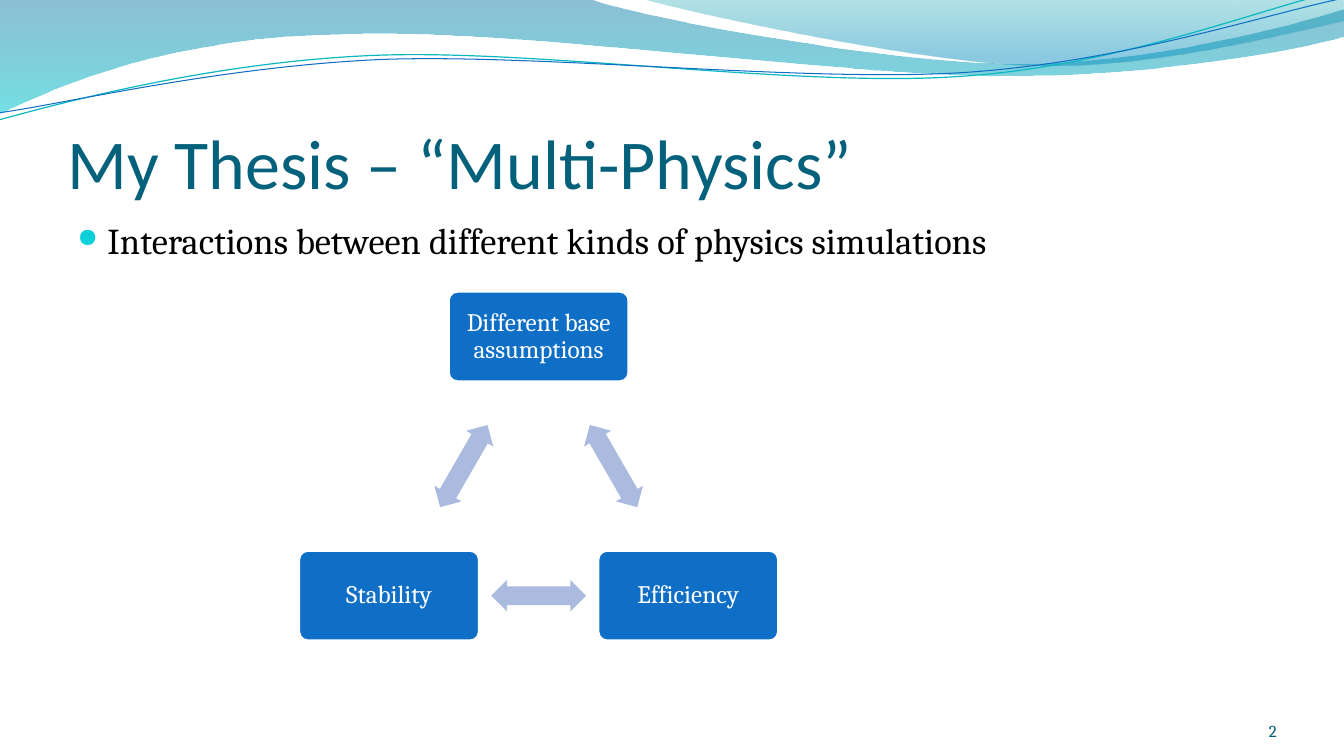
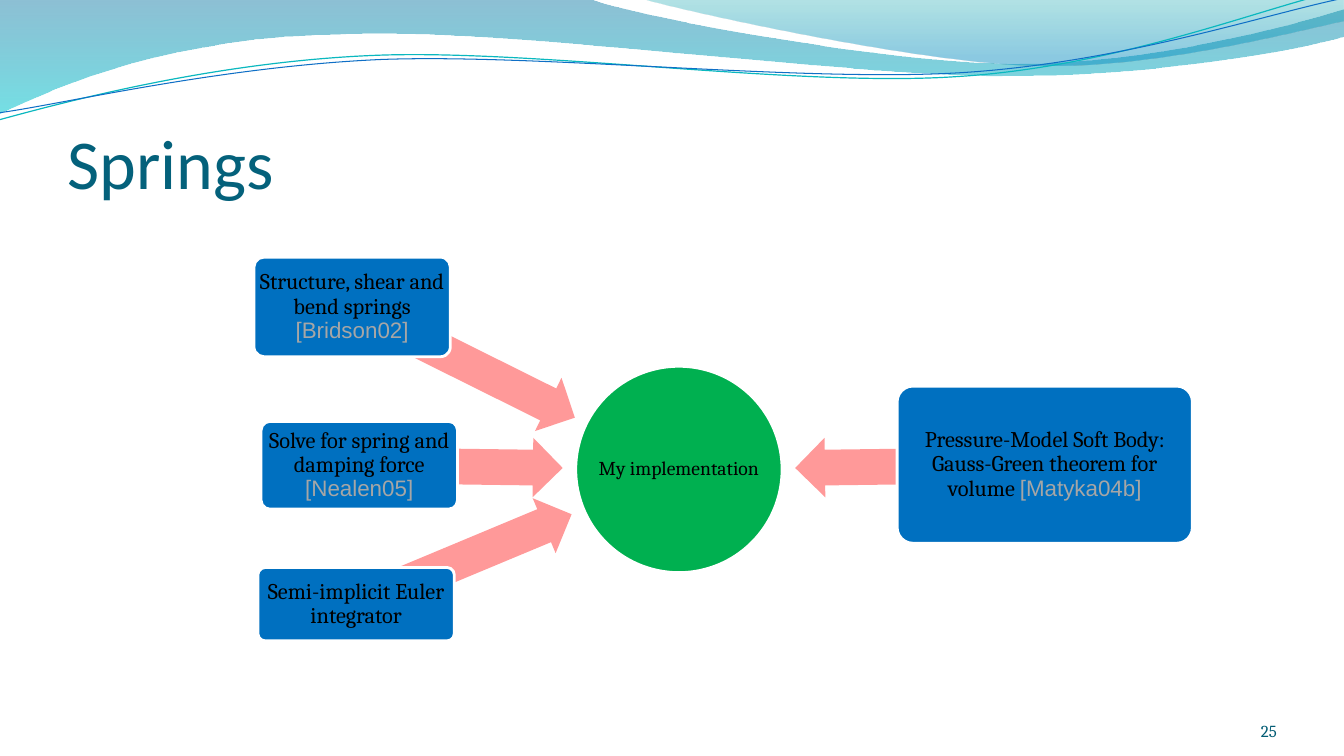
from dataclasses import dataclass
from math import atan2, cos, degrees, hypot, radians, sin

from lxml import etree
from pptx import Presentation, util as u
from pptx.dml.color import RGBColor
from pptx.enum import shapes as kinds, text as texts
from pptx.oxml.ns import qn

Cm, Pt, rgb = u.Cm, u.Pt, RGBColor.from_string
Kind, Align, Anchor = kinds.MSO_SHAPE, texts.PP_ALIGN, texts.MSO_ANCHOR


@dataclass(frozen=True)
class Theme:
    white: str = "FFFFFF"
    black: str = "000000"
    title_ink: str = "04617B"
    page_ink: str = "045D75"
    bullet: str = "0BD0D9"
    node: str = "0F6FC6"
    link: str = "ABBBDF"
    card: str = "0070C0"
    cite: str = "A6A6A6"
    hub: str = "00B050"
    arrow: str = "FF0000"
    teal_line: str = "0AB8BF"
    head_font: str = "Calibri"
    body_font: str = "Cambria"
    cite_font: str = "Arial"
    title_size: int = 50
    bullet_size: int = 26
    node_size: int = 18
    card_size: int = 16
    hub_size: int = 14
    page_size: int = 12


THEME = Theme()
SLIDE_WIDTH, SLIDE_HEIGHT = 33.87, 19.05
TITLE_BOX = (1.7, 1.96, 30.48, 3.18)
BULLET_BOX = (1.7, 5.36, 30.48, 12.19)
PAGE_BOX = (29.36, 17.65, 2.82, 1.02)
TRIANGLE_BOX = (7.54, 7.34, 12.07, 8.81)
SPRINGS_BOX = (6.4, 6.48, 23.65, 9.68)

# Each wave: start point, then one-point lines and three-point curves, in cm.
BAND_OUTLINE = [
    (0, 0), [(14.91, -0.02)],
    [(16.1, 0.43), (22.48, 1.6), (25.68, 1.6)],
    [(28.91, 1.6), (32.46, 0.66), (33.87, 0.23)], [(33.91, 0.91)],
    [(33.3, 1.12), (29.46, 1.93), (25.25, 1.91)],
    [(21.06, 1.91), (12.93, 0.71), (8.71, 0.86)],
    [(4.37, 0.91), (1.55, 2.11), (-0.02, 2.87)], [(0, 0)],
]
CORNER_OUTLINE = [
    (16.23, -0.02),
    [(17.25, 0.28), (23.09, 1.57), (26.04, 1.65)],
    [(28.98, 1.75), (32.56, 0.81), (33.87, 0.53)], [(33.87, 0)], [(16.23, -0.02)],
]
TEAL_CURVE = [
    (-0.02, 3.02),
    [(1.63, 2.57), (5.36, 1.57), (9.37, 1.4)],
    [(13.39, 1.22), (20.07, 2.21), (24.13, 1.93)],
    [(28.19, 1.68), (31.8, 0.2), (33.81, -0.25)],
]
BLUE_CURVE = [
    (0, 2.84),
    [(1.6, 2.62), (5.54, 1.68), (9.6, 1.5)],
    [(13.64, 1.35), (20.22, 2.08), (24.26, 1.83)],
    [(28.32, 1.57), (31.88, 0.36), (33.88, -0.05)],
]
# Outline and its gradient stops: position, colour, opacity in percent.
WAVE_FILLS = [
    (BAND_OUTLINE, [(0, "0074A1", 45), (1, "00C6CF", 55)]),
    (CORNER_OUTLINE, [(0, "00A1A9", 30), (0.8, "008BBF", 45)]),
]
WAVE_LINES = [(TEAL_CURVE, THEME.teal_line, 0.85), (BLUE_CURVE, THEME.node, 0.75)]


def set_all(target, values):
    for name, value in values.items():
        setattr(target, name, value)


def place(shape, box):
    set_all(shape, dict(zip(("left", "top", "width", "height"), map(Cm, box))))


def write(shape, spans, align=Align.LEFT, anchor=Anchor.MIDDLE, margins=(0, 0, 0, 0),
          spacing=1.0, wrap=True):
    """Fill the first paragraph with spans of (words, font, size, colour)."""
    frame = shape.text_frame
    set_all(frame, {"word_wrap": wrap, "auto_size": texts.MSO_AUTO_SIZE.NONE,
                    "vertical_anchor": anchor})
    sides = ("margin_left", "margin_top", "margin_right", "margin_bottom")
    set_all(frame, dict(zip(sides, map(Cm, margins))))
    para = frame.paragraphs[0]
    set_all(para, {"alignment": align, "line_spacing": spacing, "space_before": Pt(0)})
    for words, font, size, colour in spans:
        span = para.add_run()
        span.text = words
        set_all(span.font, {"name": font, "size": Pt(size)})
        span.font.color.rgb = rgb(colour)
    return para


def set_opacity(shape, percents):
    """Give each colour of the shape, in order, its opacity."""
    colours = list(shape._element.spPr.iter(qn("a:srgbClr")))
    for colour, percent in zip(colours, percents):
        etree.SubElement(colour, qn("a:alpha"), val=str(percent * 1000))


def add_solid(page, kind, box, colour, adjustments=(), outline=None):
    shape = page.shapes.add_shape(kind, *map(Cm, box))
    shape.shadow.inherit = False
    shape.fill.solid()
    shape.fill.fore_color.rgb = rgb(colour)
    for index, value in enumerate(adjustments):
        shape.adjustments[index] = value
    if outline:
        shape.line.color.rgb = rgb(outline)
        shape.line.width = Pt(2)
    else:
        shape.line.fill.background()
    return shape


def add_arrow(page, kind, centre, length, thickness, angle, colour):
    x, y = centre
    box = (x - length / 2, y - thickness / 2, length, thickness)
    arrow = add_solid(page, kind, box, colour, (0.6, 0.5))
    arrow.rotation = angle % 360
    return arrow


def add_card(page, box, colour, spans, margin):
    card = add_solid(page, Kind.ROUNDED_RECTANGLE, box, colour, (0.1,), THEME.white)
    write(card, spans, Align.CENTER, margins=(margin,) * 4, spacing=0.9)


def add_outline(page, outline, close):
    """Lay all points as straight lines, then join each group of three into a curve."""
    start, *segments = outline
    points = [(Cm(x), Cm(y)) for segment in segments for x, y in segment]
    builder = page.shapes.build_freeform(*map(Cm, start))
    builder.add_line_segments(points, close=close)
    shape = builder.convert_to_shape()
    shape.shadow.inherit = False
    lines = iter(list(shape._element.iter(qn("a:lnTo"))))
    for segment in segments:
        first, *others = [next(lines) for _ in segment]
        if others:
            first.tag = qn("a:cubicBezTo")
        for line in others:
            first.append(line[0])
            line.getparent().remove(line)
    return shape


def add_waves(deck, page):
    """Draw the waves on a page, then move them to the back of the slide master."""
    waves = []
    for outline, stops in WAVE_FILLS:
        wave = add_outline(page, outline, True)
        wave.fill.gradient()
        wave.fill.gradient_angle = 270
        for stop, (position, colour, _) in zip(wave.fill.gradient_stops, stops):
            stop.position = position
            stop.color.rgb = rgb(colour)
        set_opacity(wave, [percent for *_, percent in stops])
        wave.line.fill.background()
        waves.append(wave)
    for curve, colour, width in WAVE_LINES:
        wave = add_outline(page, curve, False)
        wave.fill.background()
        wave.line.color.rgb = rgb(colour)
        wave.line.width = Pt(width)
        waves.append(wave)
    for index, wave in enumerate(waves):
        wave._element.nvSpPr.cNvPr.id = 101 + index
        deck.slide_master.shapes._spTree.insert(2 + index, wave._element)


def add_page(deck, title, number):
    page = deck.slides.add_slide(deck.slide_layouts[5])
    place(page.shapes.title, TITLE_BOX)
    write(page.shapes.title, [(title, THEME.head_font, THEME.title_size, THEME.title_ink)],
          anchor=Anchor.BOTTOM, margins=(0, 0.13, 0, 0))
    label = page.shapes.add_textbox(*map(Cm, PAGE_BOX))
    write(label, [(str(number), THEME.body_font, THEME.page_size, THEME.page_ink)],
          Align.RIGHT, Anchor.BOTTOM)
    return page


def add_bullet(page, box, words):
    bullet = page.shapes.add_textbox(*map(Cm, box))
    para = write(bullet, [(words, THEME.body_font, THEME.bullet_size, THEME.black)],
                 anchor=Anchor.TOP, margins=(0.25, 0.13, 0.25, 0.13))
    props = para._p.get_or_add_pPr()
    props.set("marL", str(Cm(0.76)))
    props.set("indent", str(-Cm(0.76)))
    colour = etree.SubElement(props, qn("a:buClr"))
    etree.SubElement(colour, qn("a:srgbClr"), val=THEME.bullet)
    etree.SubElement(props, qn("a:buSzPct"), val="72000")
    etree.SubElement(props, qn("a:buChar"), char="●")


def add_triangle(page, box, labels):
    """Three nodes on an equilateral triangle, joined by double arrows."""
    left, top, width, height = box
    node_width, node_height = 4.55, 2.28
    radius = (height - node_height) / 1.5
    centre_x, centre_y = left + width / 2, top + node_height / 2 + radius
    centres = [(centre_x + radius * cos(radians(angle)), centre_y + radius * sin(radians(angle)))
               for angle in (-90, 30, 150)]
    for index, (label, (x, y)) in enumerate(zip(labels, centres)):
        next_x, next_y = centres[(index + 1) % len(centres)]
        add_card(page, (x - node_width / 2, y - node_height / 2, node_width, node_height),
                 THEME.node, [(label, THEME.body_font, THEME.node_size, THEME.white)], 0.1)
        add_arrow(page, Kind.LEFT_RIGHT_ARROW, ((x + next_x) / 2, (y + next_y) / 2),
                  2.39, 0.79, degrees(atan2(next_y - y, next_x - x)), THEME.link)


def add_hub(page, box, hub_label, cards):
    """A round hub; an arrow runs to it from the centre of every card."""
    left, top = box[:2]
    hub_x, hub_y, radius, gap = left + 10.71, top + 5.35, 2.6, 0.33
    hub = add_solid(page, Kind.OVAL, (hub_x - radius, hub_y - radius, 2 * radius, 2 * radius),
                    THEME.hub, outline=THEME.white)
    write(hub, [(hub_label, THEME.body_font, THEME.hub_size, THEME.black)],
          Align.CENTER, spacing=0.9, wrap=False)
    for (x, y, width, height), words, citation in cards:
        start_x, start_y = left + x + width / 2, top + y + height / 2
        run, rise = hub_x - start_x, hub_y - start_y
        distance = hypot(run, rise)
        length = distance - radius - gap
        half = length / 2 / distance
        arrow = add_arrow(page, Kind.RIGHT_ARROW, (start_x + run * half, start_y + rise * half),
                          length, 1.5, degrees(atan2(rise, run)), THEME.arrow)
        set_opacity(arrow, [40])
        spans = [(words, THEME.body_font, THEME.card_size, THEME.black)]
        if citation:
            spans.append((citation, THEME.cite_font, THEME.card_size, THEME.cite))
        add_card(page, (left + x, top + y, width, height), THEME.card, spans, 0)


def main():
    deck = Presentation()
    deck.slide_width, deck.slide_height = Cm(SLIDE_WIDTH), Cm(SLIDE_HEIGHT)

    thesis = add_page(deck, "My Thesis – “Multi-Physics”", 2)
    add_waves(deck, thesis)
    add_bullet(thesis, BULLET_BOX, "Interactions between different kinds of physics simulations")
    add_triangle(thesis, TRIANGLE_BOX, ["Different base assumptions", "Efficiency", "Stability"])

    springs = add_page(deck, "Springs", 25)
    add_hub(springs, SPRINGS_BOX, "My implementation", [
        ((0, 0, 4.95, 2.51), "Structure, shear and bend springs ", "[Bridson02]"),
        ((0.18, 4.14, 4.95, 2.21), "Solve for spring and damping force ", "[Nealen05]"),
        ((0.1, 7.82, 4.95, 1.85), "Semi-implicit Euler integrator", ""),
        ((16.21, 3.25, 7.44, 3.96),
         "Pressure-Model Soft Body: Gauss-Green theorem for volume ", "[Matyka04b]"),
    ])
    deck.save("out.pptx")


if __name__ == "__main__":
    main()
